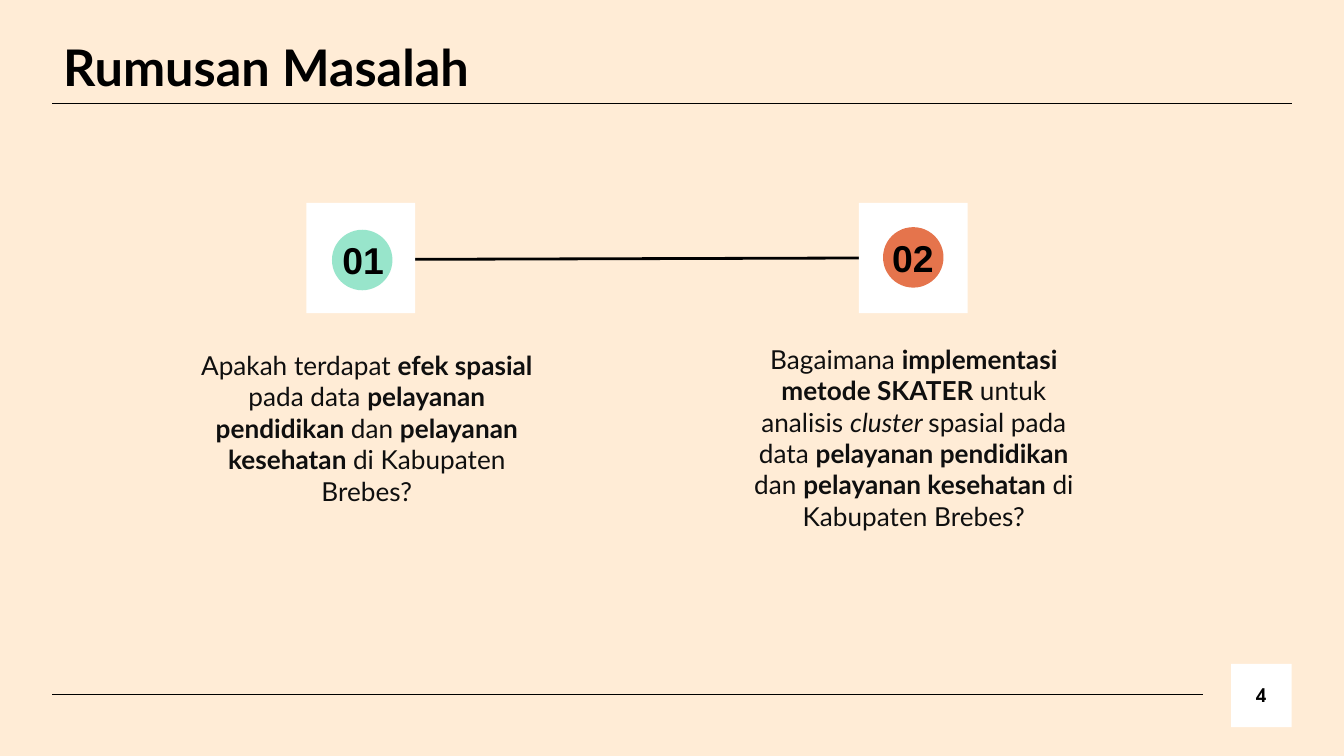
from dataclasses import dataclass

from lxml.etree import SubElement
from pptx import Presentation
from pptx.dml.color import RGBColor
from pptx.enum.shapes import MSO_CONNECTOR, MSO_SHAPE
from pptx.enum.text import MSO_ANCHOR, MSO_AUTO_SIZE, PP_ALIGN
from pptx.oxml.ns import qn
from pptx.util import Inches, Pt


@dataclass(frozen=True)
class Theme:
    background: str = "FFECD6"
    black: str = "000000"
    body: str = "0F0F0F"
    white: str = "FFFFFF"
    mint: str = "98E5CB"
    orange: str = "E5744C"
    text_font: str = "Lato"
    badge_font: str = "Arial"
    page_font: str = "TeX Gyre Adventor"
    title_size: int = 27
    badge_size: int = 20
    body_size: int = 14
    page_size: int = 10


THEME = Theme()

FIRST_QUESTION = [
    ("Apakah terdapat ", ""),
    ("efek spasial ", "bold"),
    ("pada data ", ""),
    ("pelayanan pendidikan ", "bold"),
    ("dan ", ""),
    ("pelayanan kesehatan ", "bold"),
    ("di Kabupaten Brebes?", ""),
]
SECOND_QUESTION = [
    ("Bagaimana ", ""),
    ("implementasi metode SKATER ", "bold"),
    ("untuk analisis ", ""),
    ("cluster ", "italic"),
    ("spasial pada data ", ""),
    ("pelayanan pendidikan ", "bold"),
    ("dan ", ""),
    ("pelayanan kesehatan ", "bold"),
    ("di Kabupaten Brebes?", ""),
]


def lengths(*values):
    return [Inches(value) for value in values]


def write_text(shape, runs, font, size, color, align=PP_ALIGN.CENTER,
               anchor=MSO_ANCHOR.MIDDLE, top_inset=0.1, bottom_inset=0.1):
    frame = shape.text_frame
    frame.word_wrap = True
    frame.auto_size = MSO_AUTO_SIZE.NONE
    frame.vertical_anchor = anchor
    frame.margin_left = frame.margin_right = Inches(0.1)
    frame.margin_top = Inches(top_inset)
    frame.margin_bottom = Inches(bottom_inset)
    paragraph = frame.paragraphs[0]
    paragraph.alignment = align
    for text, style in runs:
        run = paragraph.add_run()
        run.text = text
        run.font.name = font
        run.font.size = Pt(size)
        run.font.bold = style == "bold"
        run.font.italic = style == "italic"
        run.font.color.rgb = RGBColor.from_string(color)


def add_line(slide, start, end, width):
    line = slide.shapes.add_connector(
        MSO_CONNECTOR.STRAIGHT, *lengths(*start, *end))
    line.line.color.rgb = RGBColor.from_string(THEME.black)
    line.line.width = Pt(width)
    SubElement(line._element.spPr, qn("a:effectLst"))


def add_filled_shape(shapes, kind, box, color):
    shape = shapes.add_shape(kind, *lengths(*box))
    shape.shadow.inherit = False
    shape.fill.solid()
    shape.fill.fore_color.rgb = RGBColor.from_string(color)
    shape.line.fill.background()
    return shape


def add_title(slide, text):
    title = slide.shapes.title
    title.left, title.top, title.width, title.height = lengths(
        0.37, 0.17, 3.65, 0.63)
    write_text(title, [(text, "bold")], THEME.text_font, THEME.title_size,
               THEME.black, PP_ALIGN.LEFT, MSO_ANCHOR.TOP)


def add_badge(slide, number, left, circle_left, circle_top, label_left, color):
    shapes = slide.shapes.add_group_shape().shapes
    add_filled_shape(shapes, MSO_SHAPE.RECTANGLE,
                     (left, 1.51, 0.81, 0.82), THEME.white)
    add_filled_shape(shapes, MSO_SHAPE.OVAL,
                     (circle_left, circle_top, 0.45, 0.45), color)
    label = shapes.add_textbox(
        *lengths(label_left, circle_top + 0.04, 0.56, 0.37))
    write_text(label, [(number, "bold")], THEME.badge_font, THEME.badge_size,
               THEME.black, PP_ALIGN.LEFT)


def add_question(slide, box, runs, **layout):
    question = slide.shapes.add_textbox(*lengths(*box))
    write_text(question, runs, THEME.text_font, THEME.body_size, THEME.body,
               **layout)


def add_page_number(slide, number):
    square = add_filled_shape(slide.shapes, MSO_SHAPE.RECTANGLE,
                              (9.16, 4.94, 0.45, 0.47), THEME.white)
    write_text(square, [(number, "bold")], THEME.page_font, THEME.page_size,
               THEME.black)


def main():
    presentation = Presentation()
    presentation.slide_width, presentation.slide_height = lengths(
        10, 10 * 9 / 16)
    slide = presentation.slides.add_slide(
        presentation.slide_layouts.get_by_name("Title Only"))
    slide.background.fill.solid()
    slide.background.fill.fore_color.rgb = RGBColor.from_string(
        THEME.background)

    add_line(slide, (9.61, 0.77), (0.39, 0.77), 0.75)
    add_line(slide, (8.95, 5.17), (0.39, 5.17), 0.75)
    add_line(slide, (3.01, 1.93), (6.39, 1.92), 1.5)
    add_page_number(slide, "4")
    add_title(slide, "Rumusan Masalah")
    add_question(slide, (1.28, 2.5, 2.9, 1.26), FIRST_QUESTION,
                 anchor=MSO_ANCHOR.TOP)
    add_question(slide, (5.4, 2.5, 2.8, 1.33), SECOND_QUESTION,
                 top_inset=0.18, bottom_inset=0)
    add_badge(slide, "01", 2.28, 2.47, 1.71, 2.45, THEME.mint)
    add_badge(slide, "02", 6.39, 6.57, 1.69, 6.54, THEME.orange)
    presentation.save("out.pptx")


if __name__ == "__main__":
    main()
